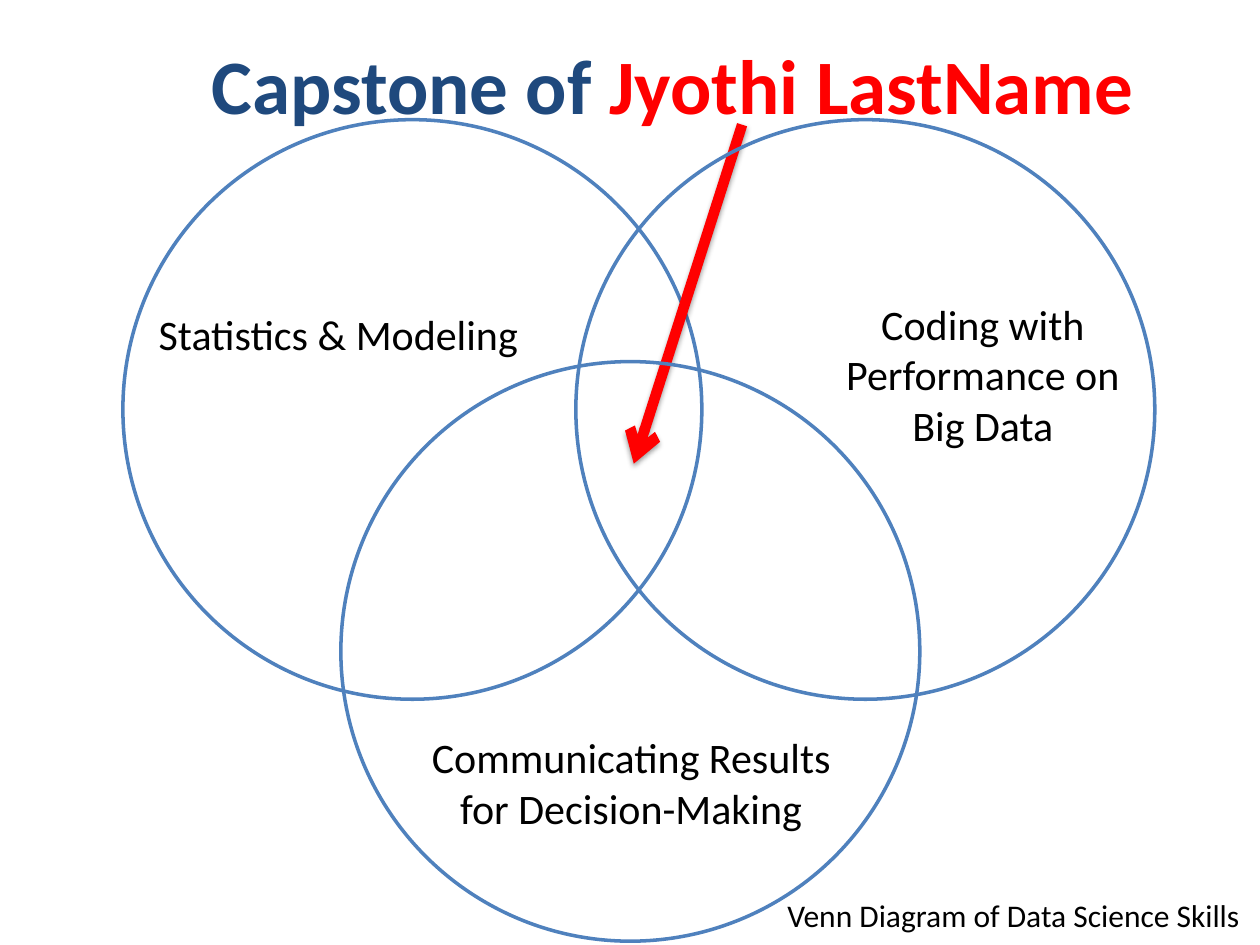
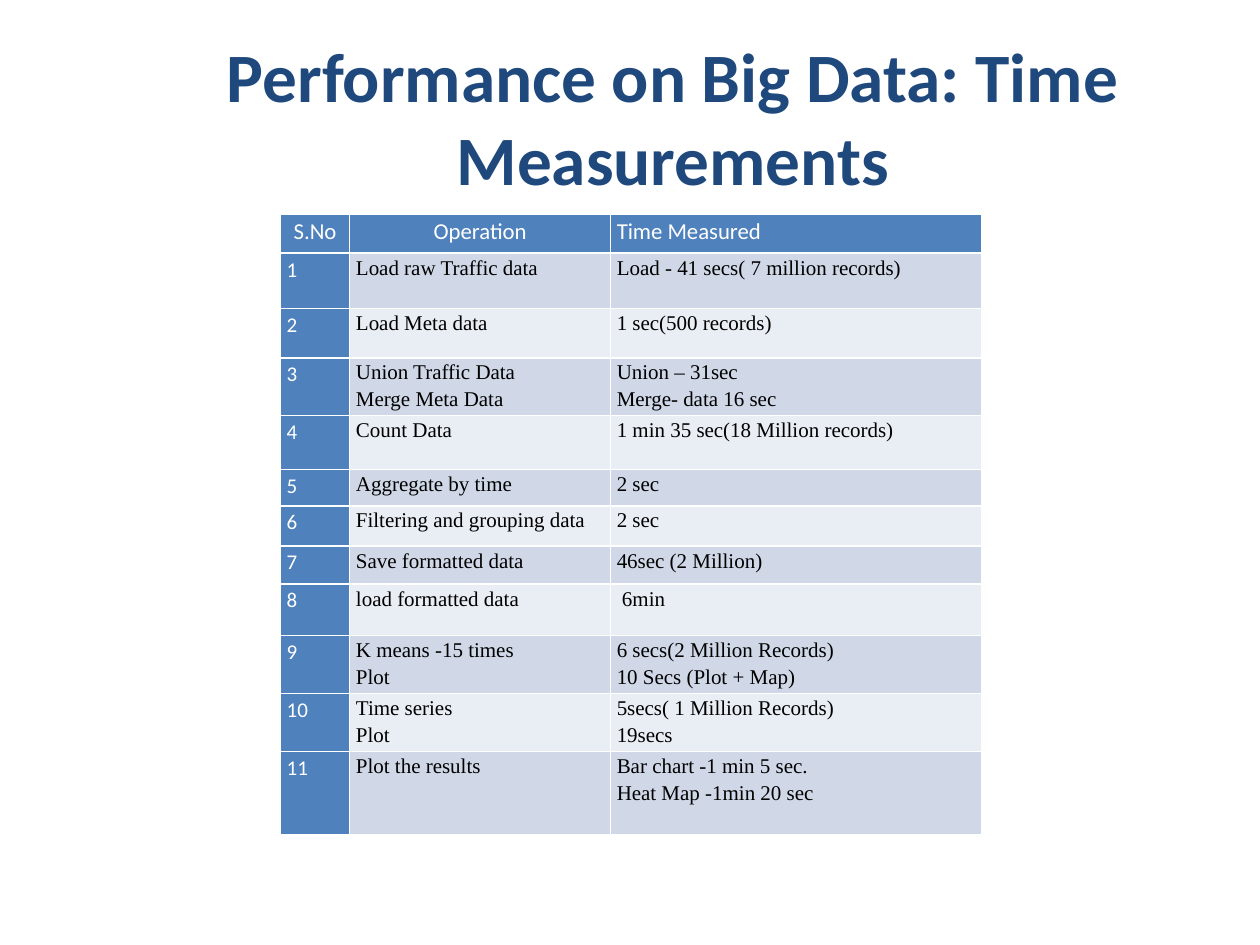
"""Build two capstone slides: a Venn diagram of skills and a table of time measurements."""
from lxml import etree
from pptx import Presentation
from pptx import util as u
from pptx.dml.color import RGBColor
from pptx.enum import shapes, text
from pptx.oxml import parse_xml
from pptx.oxml.ns import nsdecls, qn

NAVY, BLUE, RED, BLACK, WHITE = "1F497D", "4F81BD", "FF0000", "000000", "FFFFFF"
BANDS = ["E9EDF4", "D0D8E8"]
CENTER, LEFT = text.PP_ALIGN.CENTER, text.PP_ALIGN.LEFT


def colour(hex_value):
    return RGBColor.from_string(hex_value)


def write(paragraph, content, size=24, color=BLACK, font="Calibri", bold=False, align=CENTER, spacing=1.0):
    paragraph.alignment = align
    paragraph.line_spacing = spacing
    run = paragraph.add_run()
    run.text = content
    run.font.size = u.Pt(size)
    run.font.color.rgb = colour(color)
    run.font.name = font
    run.font.bold = bold


presentation = Presentation()
presentation.slide_width, presentation.slide_height = u.Inches(10), u.Inches(7.5)
unit = presentation.slide_width / 100
blank = presentation.slide_layouts[6]

titles = [
    (0.4, 44, [("Capstone of ", NAVY), ("Jyothi LastName", RED)]),
    (3, 39.6, [("Performance on Big Data: Time Measurements", NAVY)]),
]
for top, size, parts in titles:
    slide = presentation.slides.add_slide(blank)
    title = slide.shapes.add_textbox(*[int(n * unit) for n in (11.8, top, 83.2, 12.5)])
    title.text_frame.word_wrap = True
    title.text_frame.vertical_anchor = text.MSO_ANCHOR.MIDDLE
    for content, color in parts:
        write(title.text_frame.paragraphs[0], content, size=size, color=color, bold=True)

venn_slide, timing_slide = presentation.slides
title.fill.solid()
title.fill.fore_color.rgb = colour(WHITE)

circles = []
for left, top in [(9.75, 9.5), (45.7, 9.5), (27.05, 28.7)]:
    circle = venn_slide.shapes.add_shape(
        shapes.MSO_SHAPE.OVAL, *[int(n * unit) for n in (left, top, 45.95, 46)])
    circle.shadow.inherit = False
    circle.fill.background()
    circle.line.color.rgb = colour(BLUE)
    circle.line.width = u.Pt(2)
    circles.append(circle)

arrow = venn_slide.shapes.add_connector(
    shapes.MSO_CONNECTOR.STRAIGHT, *[int(n * unit) for n in (58.9, 9.9, 50.3, 36.8)])
arrow.line.color.rgb = colour(RED)
arrow.line.width = u.Pt(6)
etree.SubElement(arrow.line._get_or_add_ln(), qn("a:tailEnd"), type="arrow")
arrow._element.spPr.append(parse_xml(
    f'<a:effectLst {nsdecls("a")}><a:outerShdw blurRad="{u.Pt(3.1)}" dist="{u.Pt(1.6)}" dir="5400000" '
    f'rotWithShape="0"><a:srgbClr val="{BLACK}"><a:alpha val="38000"/></a:srgbClr></a:outerShdw></a:effectLst>'))
circles[0]._element.addnext(arrow._element)

labels = [
    ("Statistics & Modeling", (11.4, 24, 30.9, 5), 24, CENTER, False),
    ("Coding with Performance on Big Data", (64.75, 23.2, 26.5, 13.1), 24, CENTER, True),
    ("Communicating Results for Decision-Making", (32.1, 57.6, 36, 9.1), 24, CENTER, True),
    ("Venn Diagram of Data Science Skills", (61.5, 70.6, 38.5, 4), 18, LEFT, False),
]
for content, place, size, align, wraps in labels:
    label = venn_slide.shapes.add_textbox(*[int(n * unit) for n in place])
    label.text_frame.word_wrap = wraps
    label.text_frame.auto_size = text.MSO_AUTO_SIZE.SHAPE_TO_FIT_TEXT
    write(label.text_frame.paragraphs[0], content, size=size, align=align)

measurements = [
    ("Operation", "Time Measured", 3.1),
    ("Load raw Traffic data", "Load - 41 secs( 7 million records)", 4.4),
    ("Load Meta data", "1 sec(500 records)", 3.9),
    ("Union Traffic Data\nMerge Meta Data", "Union – 31sec\nMerge- data 16 sec", 4.4),
    ("Count Data", "1 min 35 sec(18 Million records)", 4.25),
    ("Aggregate by time", "2 sec", 2.9),
    ("Filtering and grouping data", "2 sec", 3.2),
    ("Save formatted data", "46sec (2 Million)", 3),
    ("load formatted data", " 6min", 4.1),
    ("K means -15 times\nPlot", "6 secs(2 Million Records)\n10 Secs (Plot + Map)", 4.4),
    ("Time series\nPlot", "5secs( 1 Million Records)\n19secs", 4.3),
    ("Plot the results", "Bar chart -1 min 5 sec.\nHeat Map -1min 20 sec", 6.6),
]
widths = [5.5, 20.7, 29.5]
total_height = sum(height for _, _, height in measurements)
table = timing_slide.shapes.add_table(
    len(measurements), len(widths),
    *[int(n * unit) for n in (22.25, 17, sum(widths), total_height)]).table
for column, width in zip(table.columns, widths):
    column.width = int(width * unit)

for row, (operation, time, height) in enumerate(measurements):
    table.rows[row].height = int(height * unit)
    number = str(row) if row else "S.No"
    for column, content in enumerate((number, operation, time)):
        cell = table.cell(row, column)
        cell.margin_left = cell.margin_right = int(0.5 * unit)
        cell.margin_top = cell.margin_bottom = 0
        heading = row == 0 or column == 0
        cell.fill.solid()
        cell.fill.fore_color.rgb = colour(BLUE if heading else BANDS[row % 2])
        for index, line in enumerate(content.split("\n")):
            frame = cell.text_frame
            paragraph = frame.add_paragraph() if index else frame.paragraphs[0]
            write(paragraph, line, size=12 if row else 13, color=WHITE if heading else BLACK,
                  font="Calibri" if heading else "Times New Roman",
                  align=CENTER if row == 0 and column < 2 else LEFT, spacing=1.15)

presentation.save("out.pptx")
